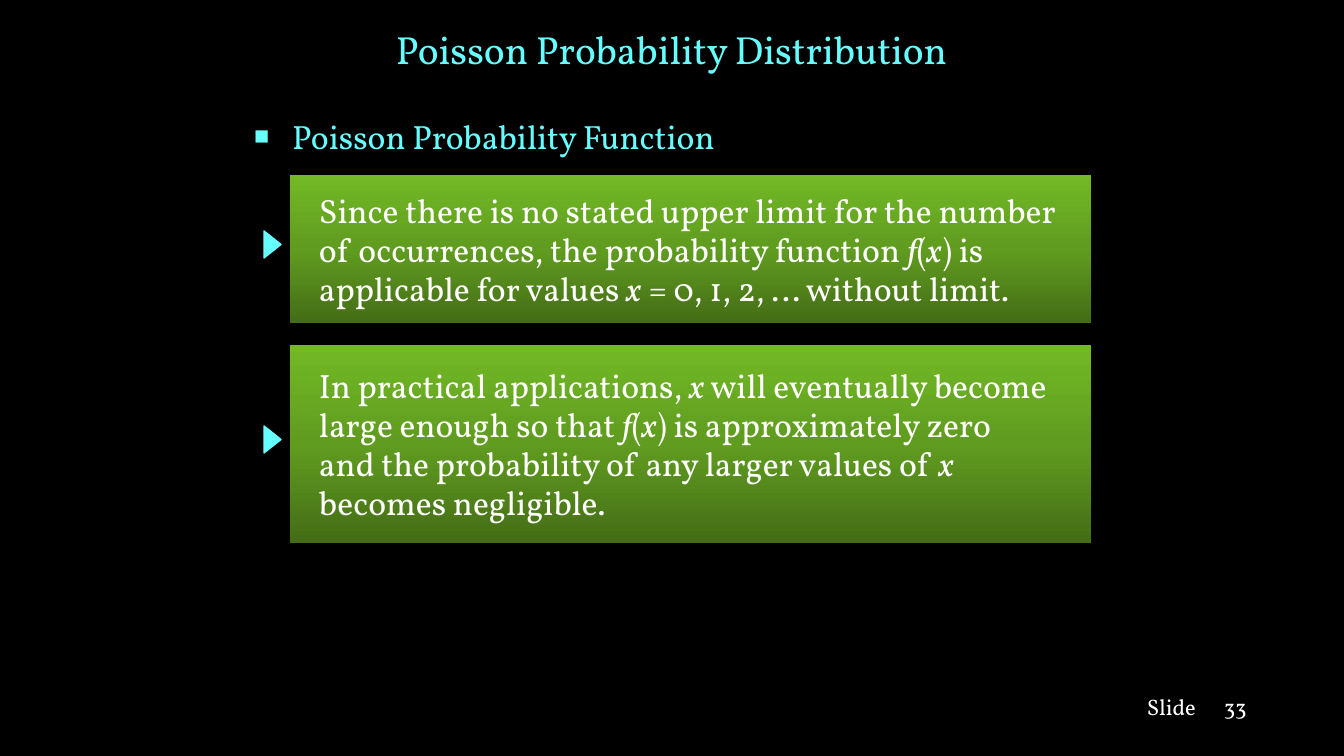
from pptx import Presentation
from pptx.dml.color import RGBColor
from pptx.enum.shapes import MSO_SHAPE
from pptx.enum.text import MSO_ANCHOR, PP_ALIGN
from pptx.oxml import parse_xml
from pptx.oxml.ns import nsdecls, qn
from pptx.util import Emu, Pt
from copy import deepcopy

EMU_PER_PX = 914400 / 100.8
CYAN, WHITE, BLACK = "66FFFF", "FFFFFF", "000000"
GREENS = ("446D16", "609C20", "72B925")
STATEMENTS = (
    (175, 148, 245, (
        "Since there is no stated upper limit for the number",
        "of occurrences, the probability function *f*(*x*) is",
        "applicable for values *x* = 0, 1, 2, … without limit.")),
    (345, 198, 440, (
        "In practical applications, *x* will eventually become",
        "large enough so that *f*(*x*) is approximately zero",
        "and the probability of any larger values of *x*",
        "becomes negligible.")),
)


def px(*lengths):
    """Turn pixel lengths into EMU."""
    return [Emu(round(length * EMU_PER_PX)) for length in lengths]


def color(hex_code):
    """Turn a hex string into a colour."""
    return RGBColor.from_string(hex_code)


def style(paragraph, size, hex_code):
    """Set the font of a paragraph."""
    font = paragraph.font
    font.name, font.size = "Vollkorn", Pt(size)
    font.color.rgb = color(hex_code)


def place(placeholder, left, top, width, height):
    """Move and size a placeholder."""
    placeholder.left, placeholder.top, placeholder.width, placeholder.height = px(
        left, top, width, height)


def add_title(slide, wording):
    """Fill the title placeholder."""
    title = slide.shapes.title
    place(title, 243, 4, 857, 90)
    title.text_frame.text = wording
    title.text_frame.vertical_anchor = MSO_ANCHOR.MIDDLE
    heading = title.text_frame.paragraphs[0]
    heading.alignment = PP_ALIGN.CENTER
    style(heading, 28, CYAN)


def add_topic(slide, wording):
    """Fill the body placeholder with one square-bulleted line."""
    body = slide.placeholders[1]
    place(body, 244, 111, 857, 55)
    body.text_frame.text = wording
    topic = body.text_frame.paragraphs[0]
    topic.space_before = Pt(0)
    properties = topic._p.get_or_add_pPr()
    indent = px(38)[0]
    properties.set("marL", str(indent))
    properties.set("indent", str(-indent))
    for bullet in (f'<a:buClr {nsdecls("a")}><a:srgbClr val="{CYAN}"/></a:buClr>',
                   f'<a:buSzPct {nsdecls("a")} val="75000"/>',
                   f'<a:buChar {nsdecls("a")} char="■"/>'):
        properties.append(parse_xml(bullet))
    style(topic, 24, CYAN)


def fill_green(panel):
    """Fill a panel with green, dark at the bottom."""
    panel.fill.gradient()
    panel.fill.gradient_angle = 90
    stop_list = next(panel.element.iter(qn("a:gsLst")))
    stop_list.insert(1, deepcopy(stop_list[0]))
    for index, (stop, green) in enumerate(zip(panel.fill.gradient_stops, GREENS)):
        stop.position = index / 2
        stop.color.rgb = color(green)


def add_statement(slide, top, height, lines):
    """Add a green panel whose starred letters are italic."""
    panel = slide.shapes.add_shape(MSO_SHAPE.RECTANGLE, *px(290, top, 801, height))
    panel.shadow.inherit = False
    fill_green(panel)
    panel.line.fill.background()
    frame = panel.text_frame
    frame.word_wrap = True
    frame.vertical_anchor = MSO_ANCHOR.MIDDLE
    frame.margin_left, frame.margin_right, frame.margin_top = px(29, 10, 12)
    for number, line in enumerate(lines):
        paragraph = frame.paragraphs[0] if number == 0 else frame.add_paragraph()
        paragraph.alignment = PP_ALIGN.LEFT
        paragraph.line_spacing = 0.8
        paragraph.space_before = Pt(4.8 if number else 0)
        style(paragraph, 24, WHITE)
        for index, part in enumerate(line.split("*")):
            if part:
                run = paragraph.add_run()
                run.text = part
                if index % 2:
                    run.font.italic = True


def add_marker(slide, middle):
    """Add a cyan triangle pointing right."""
    marker = slide.shapes.add_shape(
        MSO_SHAPE.ISOSCELES_TRIANGLE, *px(259, middle - 9, 27, 17))
    marker.rotation = 90
    marker.shadow.inherit = False
    marker.fill.solid()
    marker.fill.fore_color.rgb = color(CYAN)
    marker.line.color.rgb = color(CYAN)
    marker.line.width = Pt(1)


def add_footer(slide, left, wording):
    """Add a small footer label."""
    label = slide.shapes.add_textbox(*px(left, 688, 70, 37))
    label.text_frame.word_wrap = True
    label.text_frame.text = wording
    style(label.text_frame.paragraphs[0], 16, WHITE)


def main():
    """Build and save the slide."""
    presentation = Presentation()
    presentation.slide_width, presentation.slide_height = px(1344, 756)
    slide = presentation.slides.add_slide(presentation.slide_layouts[1])
    slide.background.fill.solid()
    slide.background.fill.fore_color.rgb = color(BLACK)
    add_footer(slide, 1214, "33")
    add_footer(slide, 1137, "Slide")
    add_title(slide, "Poisson Probability Distribution")
    add_topic(slide, "Poisson Probability Function")
    for top, height, middle, lines in STATEMENTS:
        add_statement(slide, top, height, lines)
        add_marker(slide, middle)
    presentation.save("out.pptx")


if __name__ == "__main__":
    main()
